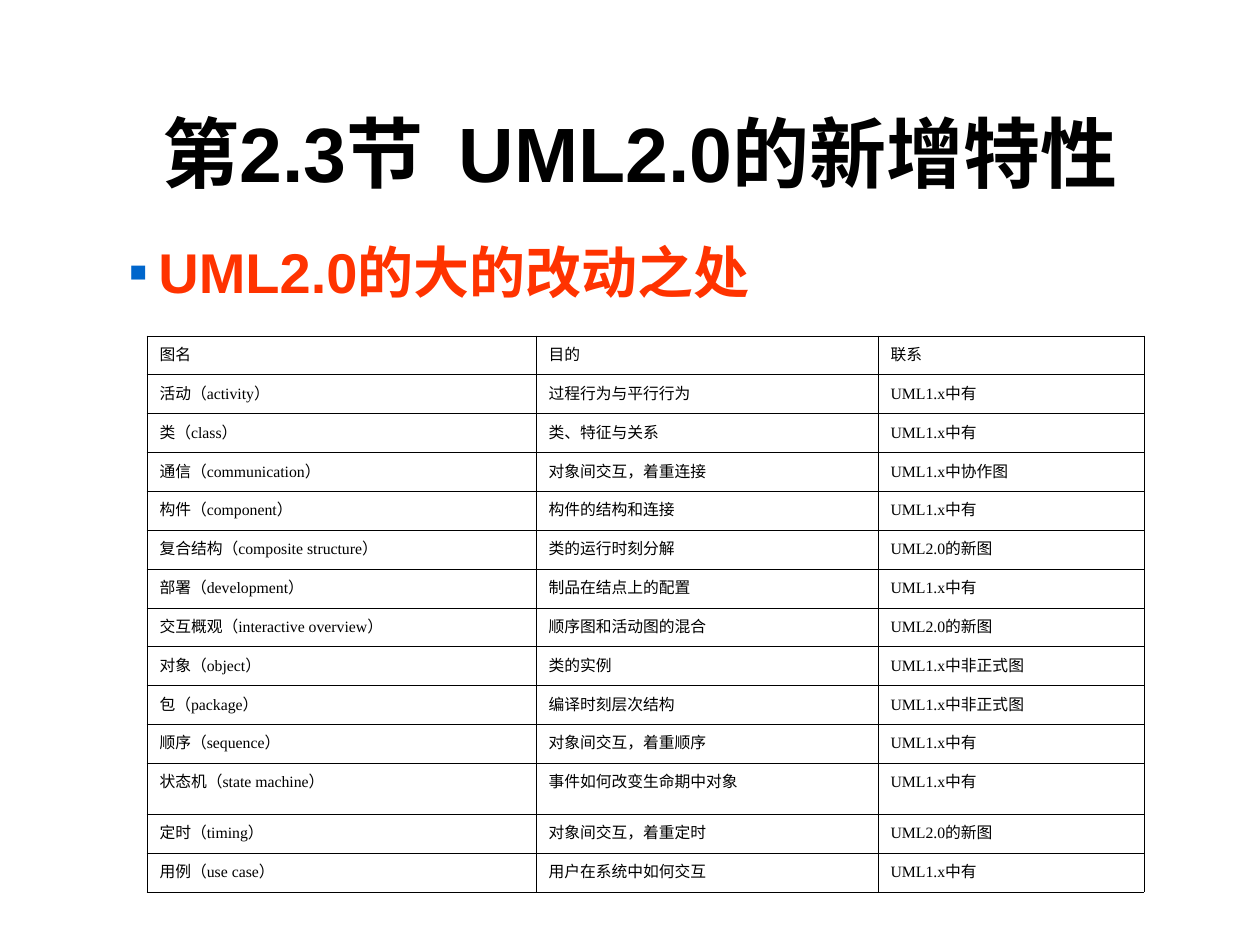
from lxml.etree import SubElement
from pptx import Presentation
from pptx.dml.color import RGBColor
from pptx.enum.text import MSO_ANCHOR, PP_ALIGN
from pptx.oxml.ns import qn
from pptx.util import Pt

EMU_PER_PX = 914400 / 126
COLORS = {"text": "000000", "heading": "FF3300", "bullet": "0066CC", "border": "000000"}


def px(length):
    return round(length * EMU_PER_PX)


def style_runs(paragraph, font_name, size, color, bold=False):
    for run in paragraph.runs:
        run.font.name = font_name
        run.font.size = Pt(size)
        run.font.bold = bold
        run.font.color.rgb = RGBColor.from_string(COLORS[color])


presentation = Presentation()
presentation.slide_width = px(1260)
presentation.slide_height = px(945)
slide = presentation.slides.add_slide(presentation.slide_layouts[6])

# Title
title = slide.shapes.add_textbox(px(105), px(73), px(1071), px(158))
title.text_frame.word_wrap = True
title.text_frame.vertical_anchor = MSO_ANCHOR.MIDDLE
title.text_frame.text = "第2.3节  UML2.0的新增特性"
paragraph = title.text_frame.paragraphs[0]
paragraph.alignment = PP_ALIGN.CENTER
style_runs(paragraph, "Arial", 44, "text", bold=True)

# Bulleted heading
heading = slide.shapes.add_textbox(px(116), px(231), px(1018), px(84))
heading.text_frame.word_wrap = True
heading.text_frame.text = "UML2.0的大的改动之处"
paragraph = heading.text_frame.paragraphs[0]
properties = paragraph._p.get_or_add_pPr()
properties.set("marL", str(px(30)))
properties.set("indent", str(-px(30)))
bullet_color = SubElement(properties, qn("a:buClr"))
SubElement(bullet_color, qn("a:srgbClr"), val=COLORS["bullet"])
SubElement(properties, qn("a:buFont"), typeface="Arial")
SubElement(properties, qn("a:buChar"), char="▪")
style_runs(paragraph, "Arial", 32, "heading", bold=True)

# Table of diagrams
DIAGRAMS = [
    ("图名", "目的", "联系"),
    ("活动（activity）", "过程行为与平行行为", "UML1.x中有"),
    ("类（class）", "类、特征与关系", "UML1.x中有"),
    ("通信（communication）", "对象间交互，着重连接", "UML1.x中协作图"),
    ("构件（component）", "构件的结构和连接", "UML1.x中有"),
    ("复合结构（composite structure）", "类的运行时刻分解", "UML2.0的新图"),
    ("部署（development）", "制品在结点上的配置", "UML1.x中有"),
    ("交互概观（interactive overview）", "顺序图和活动图的混合", "UML2.0的新图"),
    ("对象（object）", "类的实例", "UML1.x中非正式图"),
    ("包（package）", "编译时刻层次结构", "UML1.x中非正式图"),
    ("顺序（sequence）", "对象间交互，着重顺序", "UML1.x中有"),
    ("状态机（state machine）", "事件如何改变生命期中对象", "UML1.x中有"),
    ("定时（timing）", "对象间交互，着重定时", "UML2.0的新图"),
    ("用例（use case）", "用户在系统中如何交互", "UML1.x中有"),
]
COLUMN_WIDTHS = [389, 342, 266]
TABLE_HEIGHT = 556
TALL_ROW, TALL_HEIGHT = 11, 51
row_height = (TABLE_HEIGHT - TALL_HEIGHT) / (len(DIAGRAMS) - 1)

table = slide.shapes.add_table(
    len(DIAGRAMS), len(COLUMN_WIDTHS),
    px(147), px(336), px(sum(COLUMN_WIDTHS)), px(TABLE_HEIGHT),
).table
table.first_row = False
table.horz_banding = False
for column, width in zip(table.columns, COLUMN_WIDTHS):
    column.width = px(width)

for row_index, labels in enumerate(DIAGRAMS):
    row = table.rows[row_index]
    row.height = px(TALL_HEIGHT if row_index == TALL_ROW else row_height)
    for cell, label in zip(row.cells, labels):
        cell.text_frame.text = label
        style_runs(cell.text_frame.paragraphs[0], "Times New Roman", 9, "text")
        cell_properties = cell._tc.get_or_add_tcPr()
        for side in ("a:lnL", "a:lnR", "a:lnT", "a:lnB"):
            border = SubElement(cell_properties, qn(side), w=str(Pt(0.45)))
            border_fill = SubElement(border, qn("a:solidFill"))
            SubElement(border_fill, qn("a:srgbClr"), val=COLORS["border"])
        cell.fill.background()

presentation.save("out.pptx")
